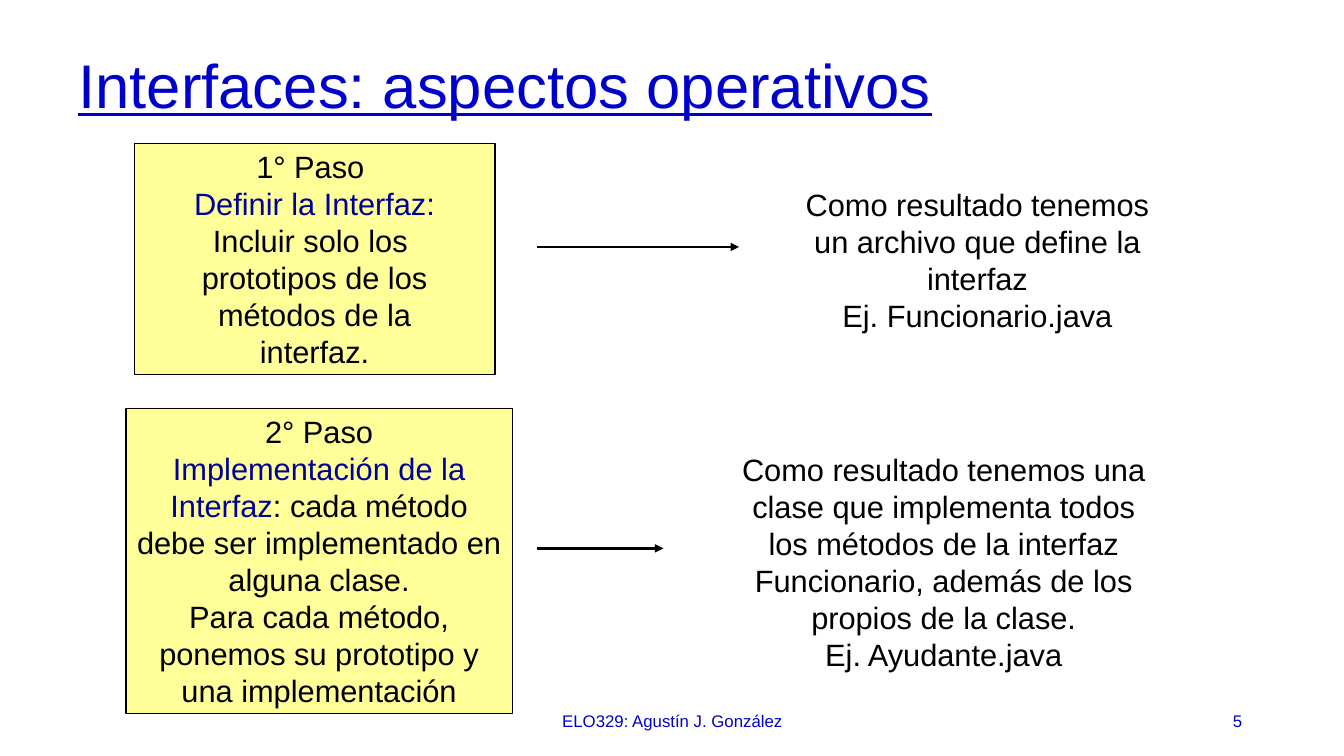
import pptx
import pptx.dml.color
import pptx.enum.shapes
import pptx.enum.text
import pptx.oxml
import pptx.oxml.ns
import pptx.util

PX = 9144
ALIGN = pptx.enum.text.PP_ALIGN
FIT = pptx.enum.text.MSO_AUTO_SIZE

THEME = {
    "font": "Arial",
    "title": 44,
    "body": 22,
    "footer": 12,
    "text": "000000",
    "accent": "000099",
    "heading": "0000CC",
    "card": "FFFF99",
    "line": "000000",
}


def px(*lengths):
    return [pptx.util.Emu(length * PX) for length in lengths]


def color(name):
    return pptx.dml.color.RGBColor.from_string(THEME[name])


def write(box, paragraphs, size="body", align=ALIGN.CENTER, fit=FIT.NONE, spacing=1.0, underline=False):
    frame = box.text_frame
    frame_format = {
        "word_wrap": True,
        "auto_size": fit,
        "vertical_anchor": pptx.enum.text.MSO_ANCHOR.MIDDLE,
    }
    for name, value in frame_format.items():
        setattr(frame, name, value)
    for index, spans in enumerate(paragraphs):
        para = frame.add_paragraph() if index else frame.paragraphs[0]
        for name, value in {"alignment": align, "line_spacing": spacing}.items():
            setattr(para, name, value)
        for text, tint in spans:
            for number, line in enumerate(text.split("\n")):
                if number:
                    para.add_line_break()
                span = para.add_run()
                span.text = line
                span_format = {
                    "name": THEME["font"],
                    "size": pptx.util.Pt(THEME[size]),
                    "underline": underline,
                }
                for name, value in span_format.items():
                    setattr(span.font, name, value)
                span.font.color.rgb = color(tint)


def add_label(page, place, paragraphs, **text_format):
    write(page.shapes.add_textbox(*px(*place)), paragraphs, **text_format)


def add_card(page, place, paragraphs):
    rectangle = pptx.enum.shapes.MSO_SHAPE.RECTANGLE
    card = page.shapes.add_shape(rectangle, *px(*place))
    card.shadow.inherit = False
    card.fill.solid()
    card.fill.fore_color.rgb = color("card")
    card.line.color.rgb = color("line")
    card.line.width = pptx.util.Pt(0)
    write(card, paragraphs, fit=FIT.SHAPE_TO_FIT_TEXT)


def add_arrow(page, left, right, middle):
    straight = pptx.enum.shapes.MSO_CONNECTOR.STRAIGHT
    arrow = page.shapes.add_connector(straight, *px(left, middle, right, middle))
    arrow.line.color.rgb = color("line")
    arrow.line.width = pptx.util.Pt(0)
    head = pptx.oxml.parse_xml(
        f'<a:tailEnd {pptx.oxml.ns.nsdecls("a")} type="triangle"/>'
    )
    arrow.line._get_or_add_ln().append(head)
    effects = pptx.oxml.parse_xml(f'<a:effectLst {pptx.oxml.ns.nsdecls("a")}/>')
    arrow._element.spPr.append(effects)


def add_step(page, card_place, card_text, arrow_place, result_place, result_text):
    add_card(page, card_place, card_text)
    add_arrow(page, *arrow_place)
    add_label(page, result_place, result_text, fit=FIT.SHAPE_TO_FIT_TEXT)


def main():
    deck = pptx.Presentation()
    deck.slide_width, deck.slide_height = px(1333, 750)
    page = deck.slides.add_slide(deck.slide_layouts[6])

    add_label(
        page, (68, 40, 1208, 95),
        [[("Interfaces: aspectos operativos", "heading")]],
        size="title", align=ALIGN.LEFT, spacing=0.9, underline=True,
    )
    add_step(
        page,
        (133, 142, 358, 230),
        [
            [("1° Paso ", "text")],
            [("Definir la Interfaz:", "accent")],
            [("Incluir solo los \nprototipos de los métodos de la\ninterfaz.", "text")],
        ],
        (533, 733, 245),
        (786, 180, 367, 156),
        [
            [("Como resultado tenemos un archivo que define la interfaz", "text")],
            [("Ej. Funcionario.java", "text")],
        ],
    )
    add_step(
        page,
        (125, 405, 383, 303),
        [
            [("2° Paso", "text")],
            [
                ("Implementación de la Interfaz", "accent"),
                (": cada método debe ser implementado en alguna clase.", "text"),
            ],
            [("Para cada método, ponemos su prototipo y una implementación", "text")],
        ],
        (533, 658, 544),
        (719, 442, 434, 230),
        [
            [(
                "Como resultado tenemos una clase que implementa todos los métodos "
                "de la interfaz Funcionario, además de los propios de la clase.",
                "text",
            )],
            [("Ej. Ayudante.java", "text")],
        ],
    )
    add_label(
        page, (442, 695, 450, 40),
        [[("ELO329: Agustín J. González", "heading")]], size="footer",
    )
    add_label(
        page, (942, 695, 300, 40),
        [[("5", "heading")]], size="footer", align=ALIGN.RIGHT,
    )
    deck.save("out.pptx")


if __name__ == "__main__":
    main()
